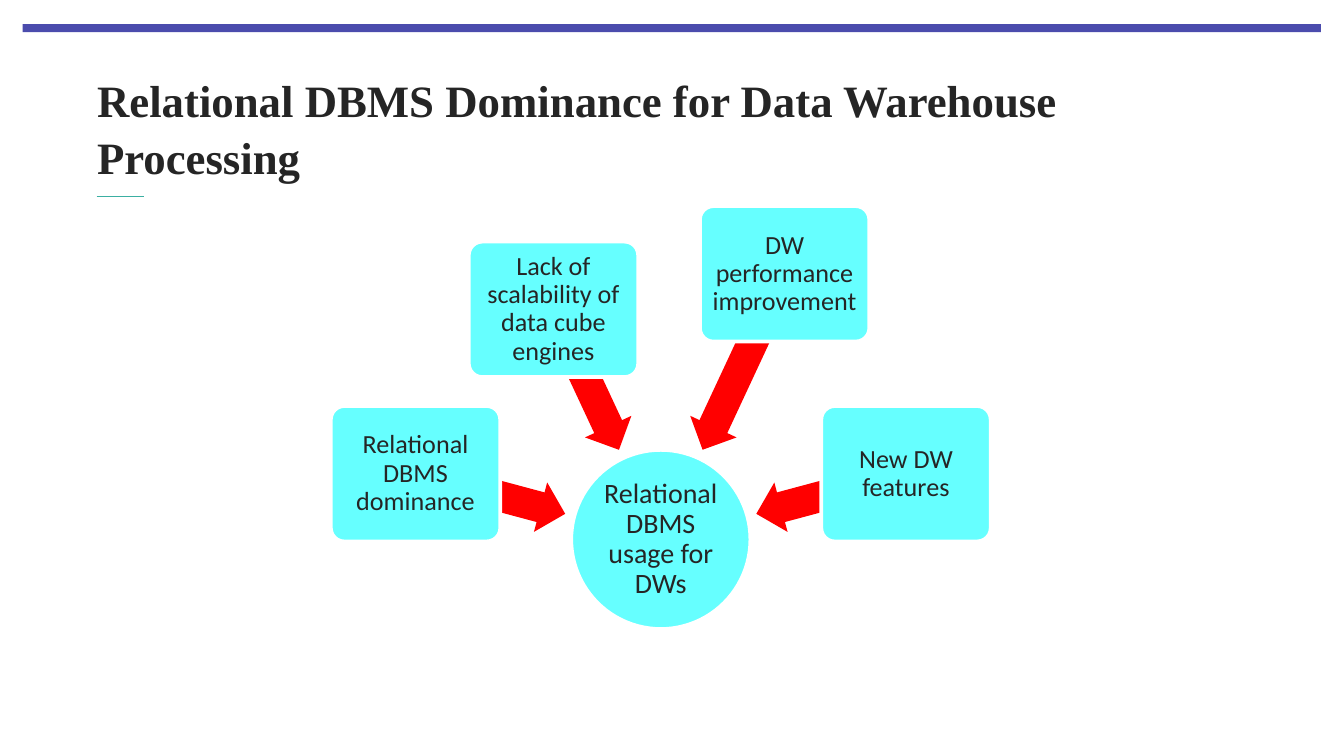
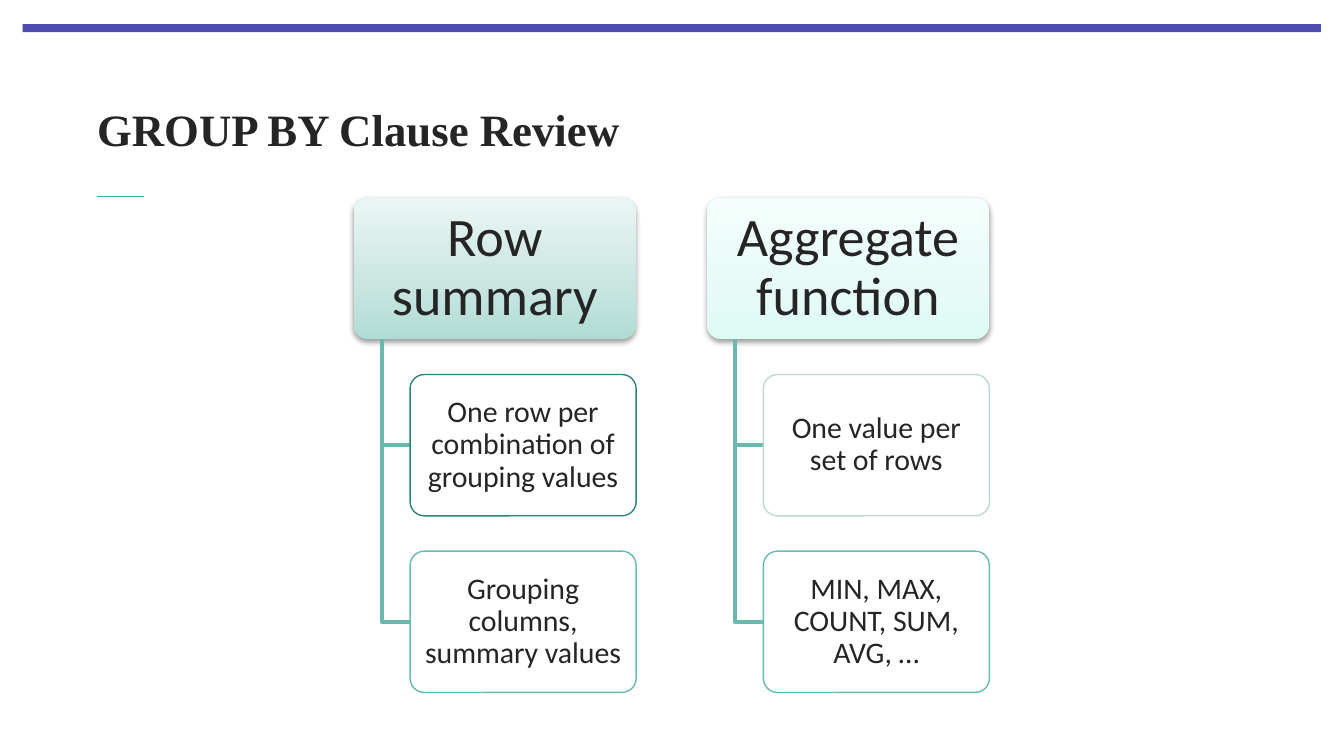
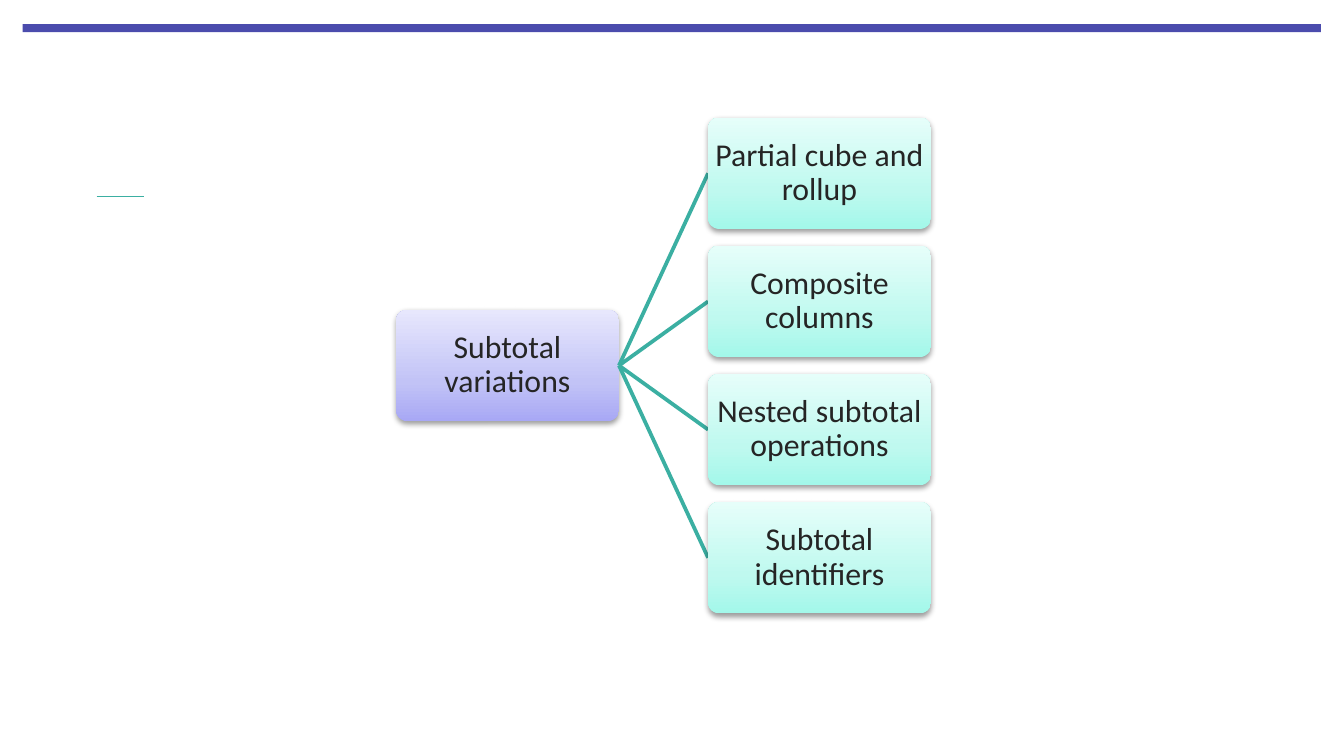
from copy import deepcopy
from math import cos, radians, sin

from lxml import etree
from pptx import Presentation
from pptx.dml.color import RGBColor
from pptx.enum.shapes import MSO_CONNECTOR, MSO_SHAPE
from pptx.enum.text import MSO_ANCHOR, PP_ALIGN
from pptx.oxml.ns import qn
from pptx.util import Pt

LEFT, CENTER = PP_ALIGN.LEFT, PP_ALIGN.CENTER
MIDDLE = MSO_ANCHOR.MIDDLE
STRAIGHT = MSO_CONNECTOR.STRAIGHT
RECTANGLE, ROUNDED = MSO_SHAPE.RECTANGLE, MSO_SHAPE.ROUNDED_RECTANGLE
OVAL, LEFT_ARROW = MSO_SHAPE.OVAL, MSO_SHAPE.LEFT_ARROW
TITLE_ONLY = 5

COLORS = {
    "text": "252525", "band": "4B4CAD", "accent": "3BAFA2", "white": "FFFFFF",
    "cyan": "66FFFF", "red": "FF0000", "elbow": "69B9AE",
    "dark_teal": "2C8178", "teal": "66BBAF", "pale_teal": "BBD8D4",
}
# Stops run from the bottom of the shape to the top.
GRADIENT_POSITIONS = (0, 0.35, 1)
GRADIENTS = {
    "sage": ("AFDCD4", "C8E5E0", "EAF6F4"),
    "ice": ("DDFAF5", "E6FBF8", "F5FEFC"),
    "lavender": ("A8A8F5", "C2C3F6", "E7E7FD"),
    "mint": ("A3F8EA", "BFF9EF", "E6FEFA"),
}
TITLE_FONT, BODY_FONT = "Times New Roman", "Calibri"


def rgb(name):
    return RGBColor.from_string(COLORS[name])


def add_run(paragraph, text, size, font_name, bold=False):
    run = paragraph.add_run()
    run.text = text
    run.font.size = Pt(size)
    run.font.name = font_name
    run.font.bold = bold
    run.font.color.rgb = rgb("text")


def add_shape(slide, kind, box, fill=None, line=None, line_width=0.75):
    shape = slide.shapes.add_shape(kind, *map(Pt, box))
    shape.shadow.inherit = False
    if fill:
        shape.fill.solid()
        shape.fill.fore_color.rgb = rgb(fill)
    set_line(shape, line, line_width)
    if kind == ROUNDED:
        shape.adjustments[0] = 0.1
    return shape


def set_line(shape, color, width):
    if color:
        shape.line.color.rgb = rgb(color)
        shape.line.width = Pt(width)
    else:
        shape.line.fill.background()


def add_line(slide, start, end, color, width):
    line = slide.shapes.add_connector(STRAIGHT, *map(Pt, (*start, *end)))
    set_line(line, color, width)
    etree.SubElement(line.element.spPr, qn("a:effectLst"))
    return line


def set_label(shape, text, size, inset_x, inset_y):
    frame = shape.text_frame
    frame.word_wrap = True
    frame.vertical_anchor = MIDDLE
    frame.margin_left = frame.margin_right = Pt(inset_x)
    frame.margin_top = frame.margin_bottom = Pt(inset_y)
    paragraph = frame.paragraphs[0]
    paragraph.alignment = CENTER
    paragraph.line_spacing = 0.9
    add_run(paragraph, text, size, BODY_FONT)


def set_gradient(shape, name):
    shape.fill.gradient()
    shape.fill.gradient_angle = 90
    stop_list = shape.element.spPr.find(".//" + qn("a:gsLst"))
    stop_list.append(deepcopy(stop_list[0]))
    stops = shape.fill.gradient_stops
    for stop, position, color in zip(stops, GRADIENT_POSITIONS, GRADIENTS[name]):
        stop.position = position
        stop.color.rgb = RGBColor.from_string(color)


def add_soft_shadow(shape):
    effects = shape.element.spPr.find(qn("a:effectLst"))
    shadow = etree.SubElement(effects, qn("a:outerShdw"), blurRad=str(Pt(3.1)),
                              dist=str(Pt(1.6)), dir="5400000", rotWithShape="0")
    color = etree.SubElement(shadow, qn("a:srgbClr"), val="000000")
    etree.SubElement(color, qn("a:alpha"), val="38000")


def add_raised_box(slide, box, gradient, text, size, inset_x, inset_y):
    """Rounded gradient box with a soft shadow and a label."""
    shape = add_shape(slide, ROUNDED, box)
    set_gradient(shape, gradient)
    add_soft_shadow(shape)
    set_label(shape, text, size, inset_x, inset_y)


def add_outlined_box(slide, box, line, text):
    """Rounded box in slightly transparent white with a thin outline."""
    shape = add_shape(slide, ROUNDED, box, "white", line)
    fill_color = shape.element.spPr.find(qn("a:solidFill"))[0]
    etree.SubElement(fill_color, qn("a:alpha"), val="90000")
    set_label(shape, text, 16, 2.2, 1.5)


def style_layout(layout, slide):
    """Place the title and move the band and rule, drawn on a slide, to the layout."""
    title = layout.placeholders[0]
    title.left, title.top, title.width, title.height = map(Pt, (52, 34, 627, 68))
    band = add_shape(slide, RECTANGLE, (12.2, 13, 695.5, 4.2), "band")
    rule = add_line(slide, (51.8, 105.2), (77, 105.2), "accent", 0.5)
    for shape in (band, rule):
        layout.shapes.element.append(shape.element)


def set_title(slide, text):
    title = slide.shapes.title
    if not text:
        title.element.getparent().remove(title.element)
        return
    frame = title.text_frame
    frame.word_wrap = True
    frame.vertical_anchor = MIDDLE
    frame.margin_left = frame.margin_right = frame.margin_top = frame.margin_bottom = 0
    paragraph = frame.paragraphs[0]
    paragraph.alignment = LEFT
    paragraph.line_spacing = 1.05
    add_run(paragraph, text, 24, TITLE_FONT, bold=True)


def add_converging_diagram(slide, center, hub_text, causes):
    """Boxes at (angle, distance) from a hub, each with an arrow pointing to it."""
    center_x, center_y = center
    hub_size, arrow_height, arrow_tip = 96, 27.4, 53
    box_width, box_height = 90.8, 72.6

    def box_at(angle, distance, width, height):
        return (center_x + distance * cos(radians(angle)) - width / 2,
                center_y + distance * sin(radians(angle)) - height / 2,
                width, height)

    hub = add_shape(slide, OVAL, box_at(0, 0, hub_size, hub_size), "cyan", "white", 2)
    set_label(hub, hub_text, 15, 0.7, 0.7)
    for angle, distance, text in causes:
        length = distance - arrow_tip
        middle = (distance + arrow_tip) / 2
        arrow = add_shape(slide, LEFT_ARROW,
                          box_at(angle, middle, length, arrow_height), "red")
        arrow.adjustments[0], arrow.adjustments[1] = 0.6, 0.5
        arrow.rotation = angle
        cause = add_shape(slide, ROUNDED, box_at(angle, distance, box_width, box_height),
                          "cyan", "white", 2)
        set_label(cause, text, 14, 1.9, 1.9)


def add_elbow(slide, left, top, width, height):
    builder = slide.shapes.build_freeform(Pt(left), Pt(top))
    corners = [(left, top + height), (left + width, top + height)]
    builder.add_line_segments([(Pt(x), Pt(y)) for x, y in corners], close=False)
    elbow = builder.convert_to_shape()
    elbow.shadow.inherit = False
    elbow.fill.background()
    set_line(elbow, "elbow", 2)


def add_hierarchy_column(slide, left, top, width, heading, gradient, children):
    height, pitch, indent = width / 2, width * 5 / 8, width / 5
    add_raised_box(slide, (left, top, width, height), gradient, heading, 29, 4.1, 2.7)
    for row, (text, line) in enumerate(children, start=1):
        child_top = top + row * pitch
        add_elbow(slide, left + indent / 2, top + height, indent / 2, row * pitch - height / 2)
        add_outlined_box(slide, (left + indent, child_top, width - indent, height), line, text)


def add_branch_tree(slide, left, top, box_width, root_text, branches):
    box_height = box_width / 2
    pitch = box_height * 1.15
    branch_left = left + box_width * 1.4
    root_top = top + pitch * (len(branches) - 1) / 2
    root_exit = (left + box_width, root_top + box_height / 2)
    add_raised_box(slide, (left, root_top, box_width, box_height),
                   "lavender", root_text, 17, 0.8, 0.8)
    for row, text in enumerate(branches):
        branch_top = top + row * pitch
        add_line(slide, root_exit, (branch_left, branch_top + box_height / 2), "accent", 2)
        add_raised_box(slide, (branch_left, branch_top, box_width, box_height),
                       "mint", text, 17, 0.8, 0.8)


def build_dominance_slide(slide):
    set_title(slide, "Relational DBMS Dominance for Data Warehouse Processing")
    add_converging_diagram(slide, (354, 289), "Relational DBMS usage for DWs", [
        (195, 136, "Relational DBMS dominance"),
        (245, 136, "Lack of scalability of data cube engines"),
        (295, 157, "DW performance improvement"),
        (345, 136, "New DW features"),
    ])


def build_group_by_slide(slide):
    set_title(slide, "GROUP BY Clause Review")
    left, top, width = 189.4, 106, 151.4
    columns = [
        ("Row summary", "sage", [
            ("One row per combination of grouping values", "dark_teal"),
            ("Grouping columns, summary values", "teal")]),
        ("Aggregate function", "ice", [
            ("One value per set of rows", "pale_teal"),
            ("MIN, MAX, COUNT, SUM, AVG, …", "teal")]),
    ]
    for index, column in enumerate(columns):
        add_hierarchy_column(slide, left + index * width * 1.25, top, width, *column)


def build_subtotal_slide(slide):
    set_title(slide, None)
    add_branch_tree(slide, 212.2, 63, 119.4, "Subtotal variations", [
        "Partial cube and rollup", "Composite columns",
        "Nested subtotal operations", "Subtotal identifiers",
    ])


def main():
    presentation = Presentation()
    presentation.slide_width, presentation.slide_height = Pt(720), Pt(405)
    layout = presentation.slide_layouts[TITLE_ONLY]
    builders = (build_dominance_slide, build_group_by_slide, build_subtotal_slide)
    slides = [presentation.slides.add_slide(layout) for _ in builders]
    style_layout(layout, slides[0])
    for build, slide in zip(builders, slides):
        build(slide)
    presentation.save("out.pptx")


if __name__ == "__main__":
    main()
